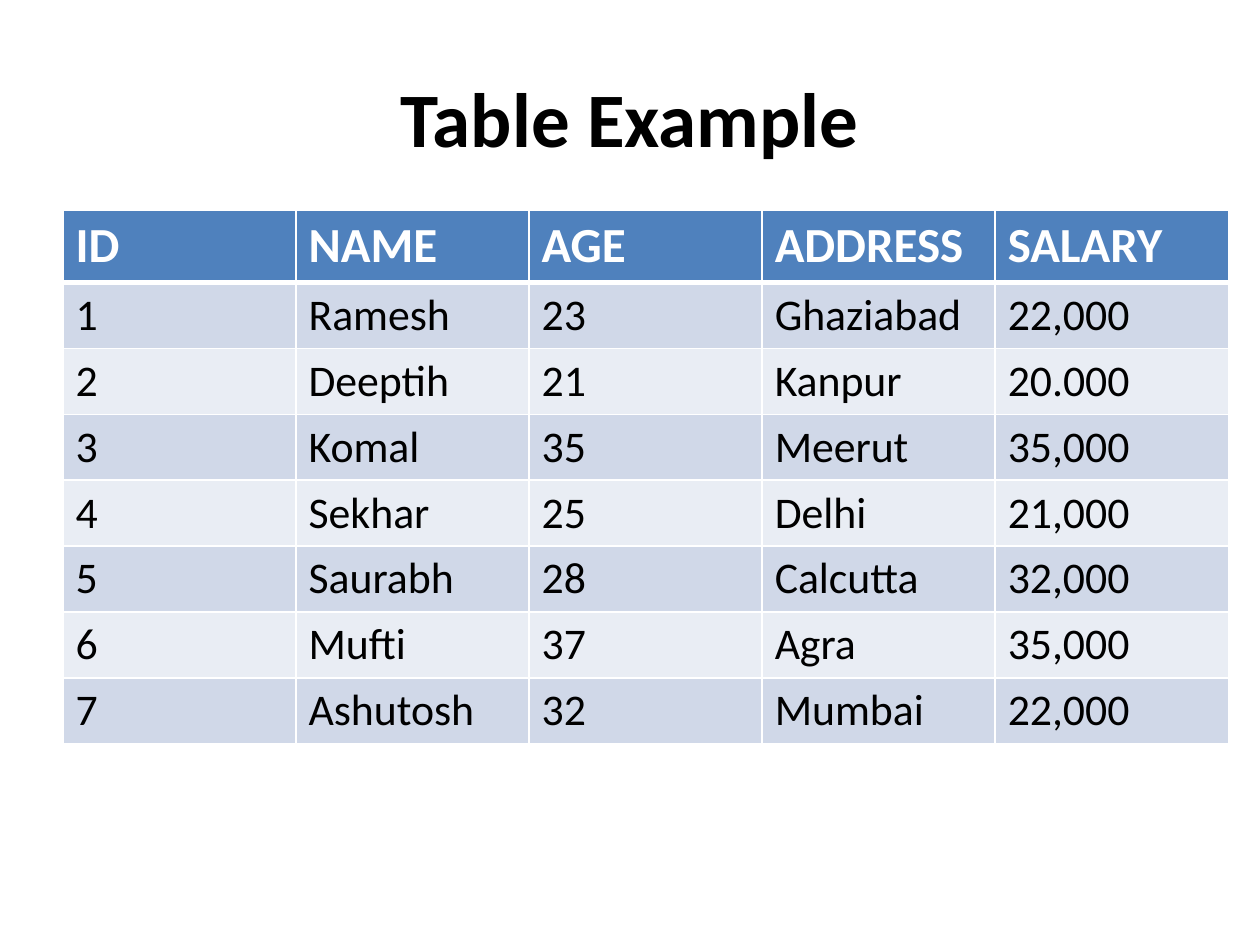
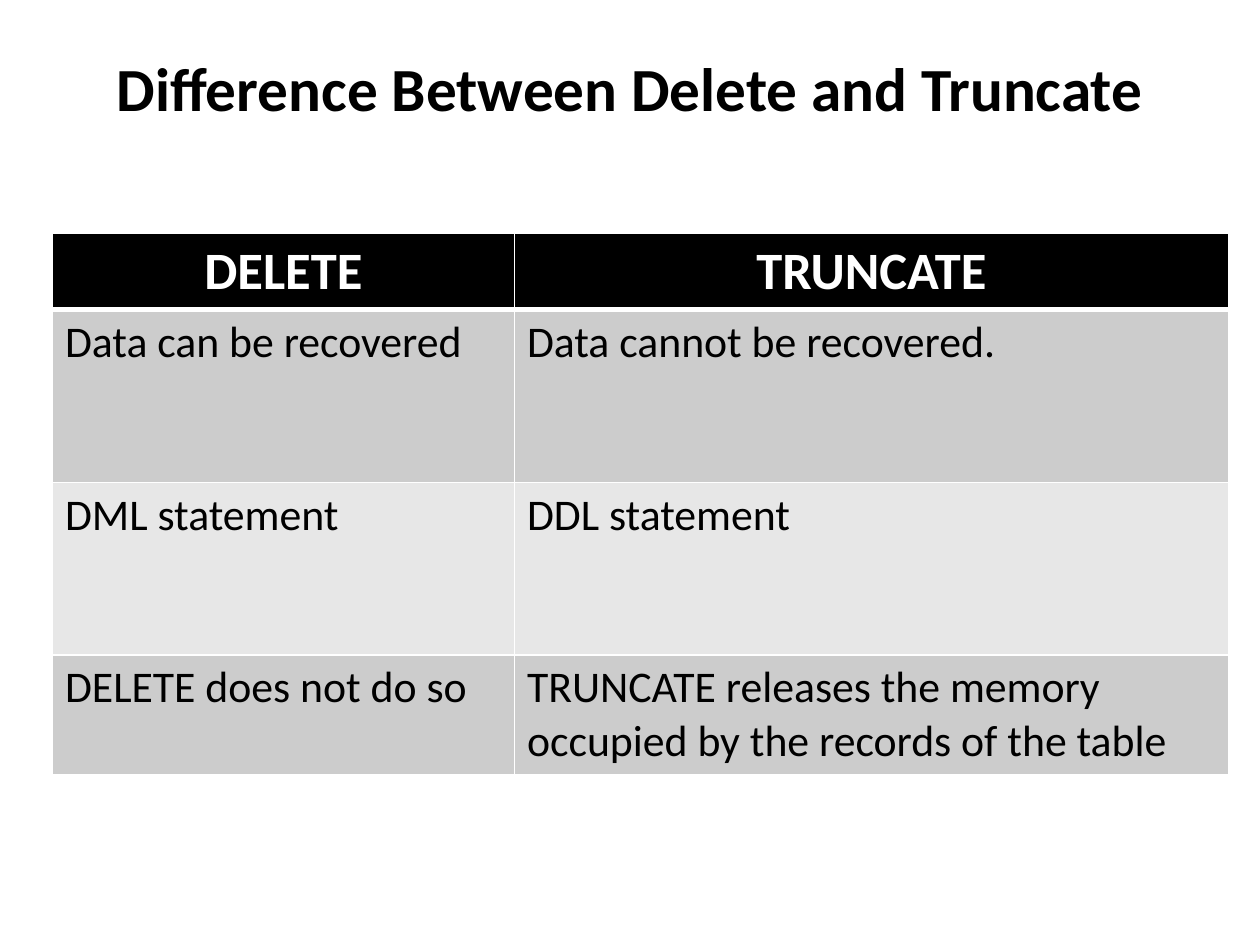
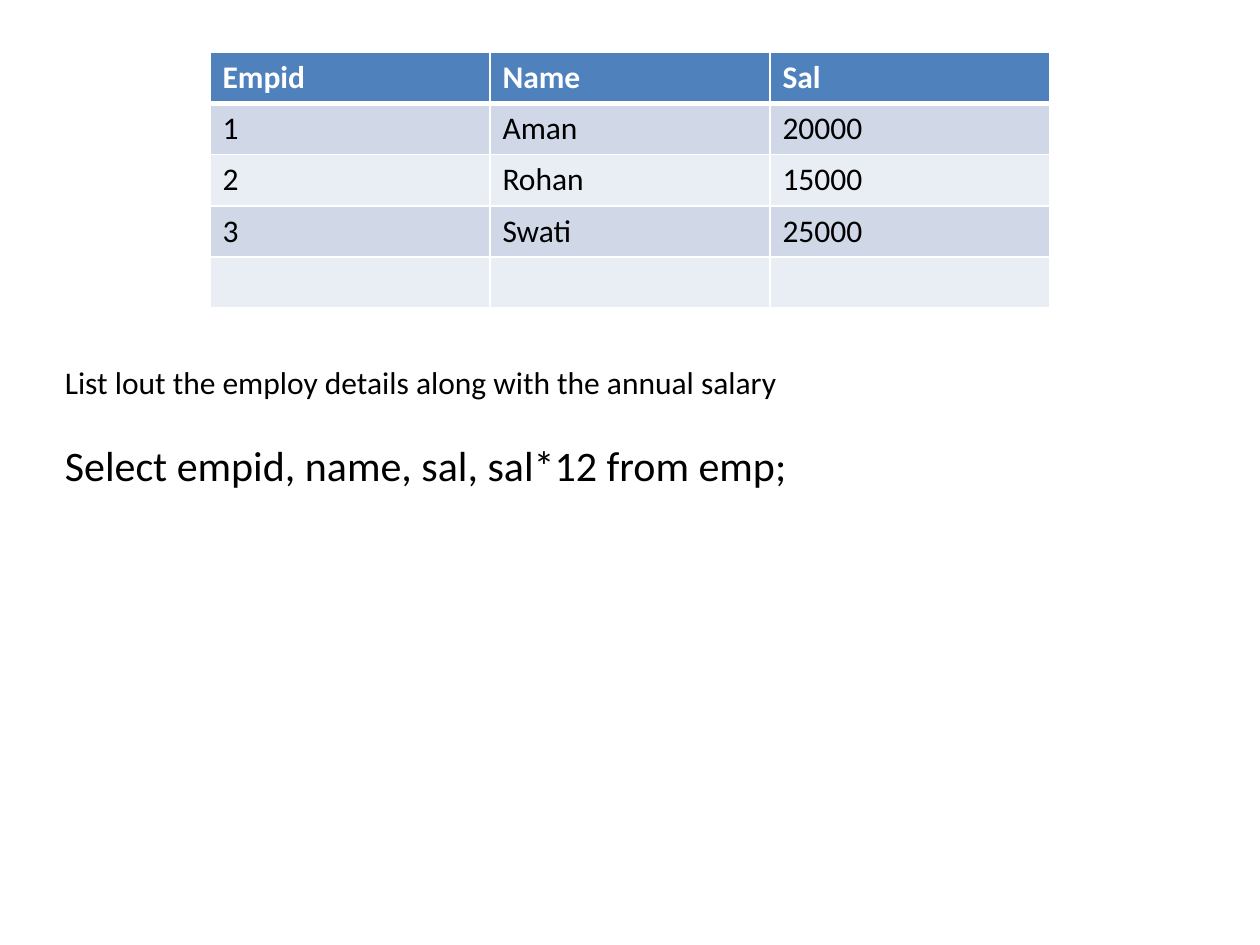
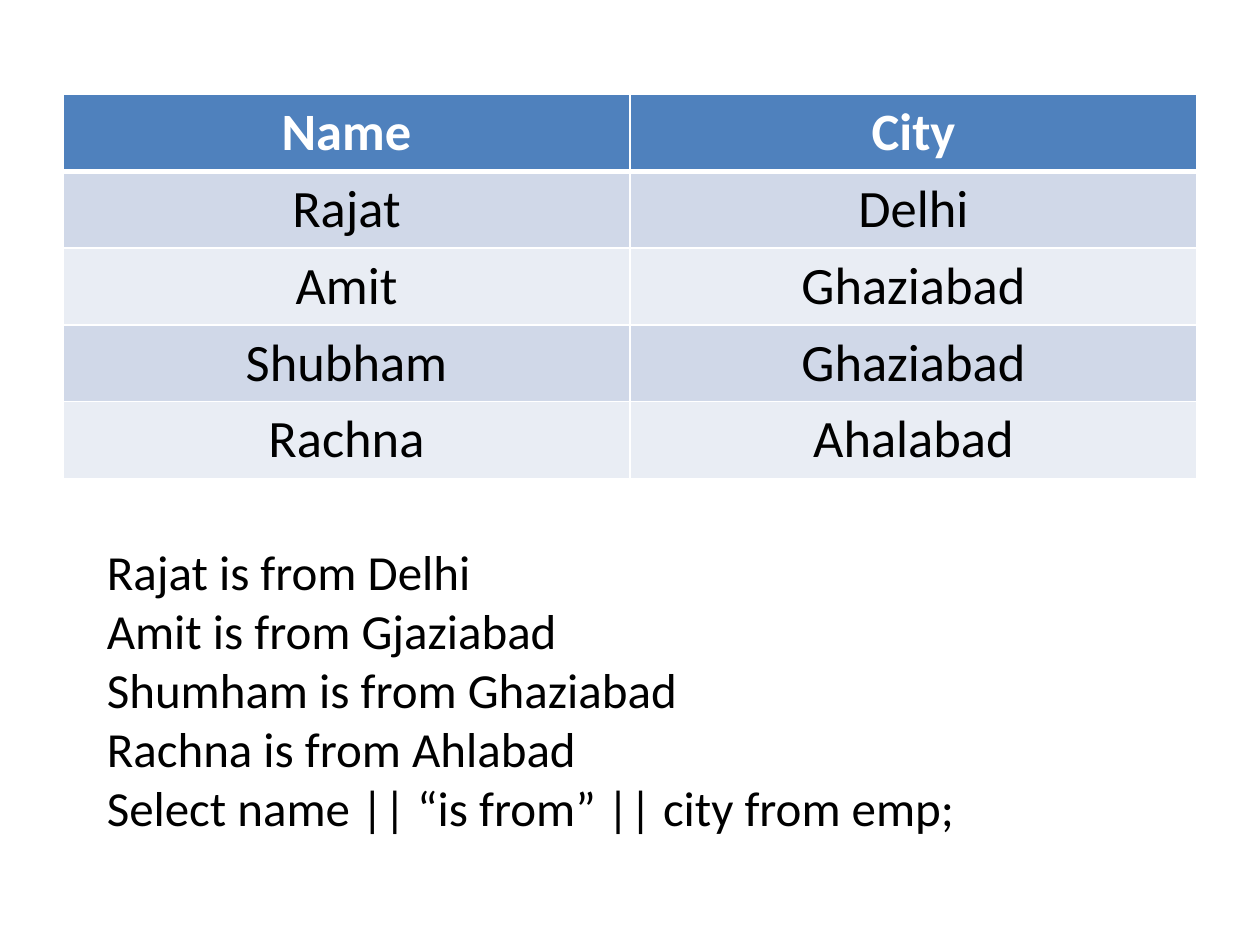
"""Build four slides of SQL tables and example queries."""
from dataclasses import dataclass
from typing import Optional

import pptx
import pptx.dml.color
import pptx.enum.text
import pptx.oxml.ns
import pptx.slide
import pptx.table
import pptx.text.text
import pptx.util
from lxml import etree

Pt = pptx.util.Pt
Align = pptx.enum.text.PP_ALIGN
Anchor = pptx.enum.text.MSO_ANCHOR

FONT = "Calibri"
COLORS = {
    "ink": "000000",
    "paper": "FFFFFF",
    "blue": "4F81BD",
    "blue_dark_band": "D0D8E8",
    "blue_light_band": "E9EDF4",
    "gray_dark_band": "CCCCCC",
    "gray_light_band": "E7E7E7",
}


@dataclass(frozen=True)
class Palette:
    header: str
    bands: tuple[str, str]


@dataclass(frozen=True)
class Box:
    left: float
    top: float
    width: float
    height: float


@dataclass(frozen=True)
class Line:
    text: str
    size: float
    space_before: float = 0
    bold: bool = False
    align: Align = Align.LEFT


@dataclass(frozen=True)
class TableSpec:
    left: float
    top: float
    widths: tuple[float, ...]
    heights: tuple[float, ...]
    rows: tuple[tuple[str, ...], ...]
    header_size: float
    body_size: float
    palette: Palette
    header_align: Align = Align.LEFT
    body_align: Align = Align.LEFT


@dataclass(frozen=True)
class SlideSpec:
    table: TableSpec
    title: Optional[Line] = None
    title_box: Optional[Box] = None
    lines: tuple[Line, ...] = ()
    lines_box: Optional[Box] = None


BLUE = Palette("blue", ("blue_dark_band", "blue_light_band"))
GRAY = Palette("ink", ("gray_dark_band", "gray_light_band"))

SLIDES = (
    SlideSpec(
        title=Line("Table Example", 44, bold=True, align=Align.CENTER),
        title_box=Box(36, 21.6, 648, 90),
        table=TableSpec(
            left=36, top=120, widths=(133.2,) * 5, heights=(41.4,) + (37.7,) * 7,
            rows=(
                ("ID", "NAME", "AGE", "ADDRESS", "SALARY"),
                ("1", "Ramesh", "23", "Ghaziabad", "22,000"),
                ("2", "Deeptih", "21", "Kanpur", "20.000"),
                ("3", "Komal", "35", "Meerut", "35,000"),
                ("4", "Sekhar", "25", "Delhi", "21,000"),
                ("5", "Saurabh", "28", "Calcutta", "32,000"),
                ("6", "Mufti", "37", "Agra", "35,000"),
                ("7", "Ashutosh", "32", "Mumbai", "22,000"),
            ),
            header_size=28, body_size=25, palette=BLUE,
        ),
    ),
    SlideSpec(
        title=Line("Difference Between Delete and Truncate", 35, bold=True, align=Align.CENTER),
        title_box=Box(36, 21.6, 648, 56),
        table=TableSpec(
            left=30, top=133.2, widths=(264, 408), heights=(43.8, 98.7, 98.7, 68.2),
            rows=(
                ("DELETE", "TRUNCATE"),
                ("Data can be recovered", "Data cannot be recovered."),
                ("DML statement", "DDL statement"),
                ("DELETE does not do so",
                 "TRUNCATE releases the memory occupied by the records of the table"),
            ),
            header_size=30, body_size=25, palette=GRAY, header_align=Align.CENTER,
        ),
    ),
    SlideSpec(
        table=TableSpec(
            left=120, top=30, widths=(160,) * 3, heights=(29.2,) * 5,
            rows=(
                ("Empid", "Name", "Sal"),
                ("1", "Aman", "20000"),
                ("2", "Rohan", "15000"),
                ("3", "Swati", "25000"),
                ("", "", ""),
            ),
            header_size=18, body_size=18, palette=BLUE,
        ),
        lines=(
            Line("List lout the employ details along with the annual salary", 18),
            Line("Select empid, name, sal, sal*12 from emp;", 24, space_before=22),
        ),
        lines_box=Box(30, 204, 654, 80),
    ),
    SlideSpec(
        table=TableSpec(
            left=36, top=54, widths=(324,) * 2, heights=(43.9,) * 5,
            rows=(
                ("Name", "City"),
                ("Rajat", "Delhi"),
                ("Amit", "Ghaziabad"),
                ("Shubham", "Ghaziabad"),
                ("Rachna", "Ahalabad"),
            ),
            header_size=30, body_size=30, palette=BLUE,
            header_align=Align.CENTER, body_align=Align.CENTER,
        ),
        lines=tuple(Line(text, 28) for text in (
            "Rajat is from Delhi",
            "Amit is from Gjaziabad",
            "Shumham is from Ghaziabad",
            "Rachna is from Ahlabad",
            "Select name || “is from” || city from emp;",
        )),
        lines_box=Box(54, 306, 612, 234),
    ),
)


def rgb(name: str) -> pptx.dml.color.RGBColor:
    return pptx.dml.color.RGBColor.from_string(COLORS[name])


def write_text(
    paragraph: pptx.text.text._Paragraph, text: str, *, size: float,
    color: str = "ink", bold: bool = False, align: Align = Align.LEFT,
    space_before: float = 0,
) -> None:
    paragraph.alignment = align
    if space_before:
        paragraph.space_before = Pt(space_before)
    if not text:
        return
    run = paragraph.add_run()
    run.text = text
    run.font.name = FONT
    run.font.size = Pt(size)
    run.font.bold = bold
    run.font.color.rgb = rgb(color)


def add_lines(
    slide: pptx.slide.Slide, box: Box, lines: tuple[Line, ...], anchor: Anchor = Anchor.TOP,
) -> None:
    shape = slide.shapes.add_textbox(Pt(box.left), Pt(box.top), Pt(box.width), Pt(box.height))
    frame = shape.text_frame
    frame.word_wrap = True
    frame.vertical_anchor = anchor
    for index, line in enumerate(lines):
        paragraph = frame.add_paragraph() if index else frame.paragraphs[0]
        write_text(paragraph, line.text, size=line.size, bold=line.bold,
                   align=line.align, space_before=line.space_before)


def set_borders(cell: pptx.table._Cell, widths: dict[str, float]) -> None:
    qn = pptx.oxml.ns.qn
    properties = cell._tc.get_or_add_tcPr()
    for side, width in widths.items():
        line = etree.SubElement(properties, qn(f"a:ln{side}"), w=str(Pt(width)))
        fill = etree.SubElement(line, qn("a:solidFill"))
        etree.SubElement(fill, qn("a:srgbClr"), val=COLORS["paper"])


def add_table(slide: pptx.slide.Slide, spec: TableSpec) -> None:
    table = slide.shapes.add_table(
        len(spec.rows), len(spec.widths), Pt(spec.left), Pt(spec.top),
        Pt(sum(spec.widths)), Pt(sum(spec.heights)),
    ).table
    for column, width in zip(table.columns, spec.widths):
        column.width = Pt(width)
    for row_index, (texts, height) in enumerate(zip(spec.rows, spec.heights)):
        table.rows[row_index].height = Pt(height)
        header = row_index == 0
        fill = spec.palette.header if header else spec.palette.bands[(row_index - 1) % 2]
        borders = {"L": 1, "R": 1, "T": 3 if row_index == 1 else 1, "B": 3 if header else 1}
        for column_index, text in enumerate(texts):
            cell = table.cell(row_index, column_index)
            set_borders(cell, borders)
            cell.fill.solid()
            cell.fill.fore_color.rgb = rgb(fill)
            write_text(
                cell.text_frame.paragraphs[0], text, bold=header,
                size=spec.header_size if header else spec.body_size,
                color="paper" if header else "ink",
                align=spec.header_align if header else spec.body_align,
            )


def main() -> None:
    presentation = pptx.Presentation()
    presentation.slide_width = Pt(720)
    presentation.slide_height = Pt(540)
    for spec in SLIDES:
        slide = presentation.slides.add_slide(presentation.slide_layouts[6])
        if spec.title:
            add_lines(slide, spec.title_box, (spec.title,), Anchor.MIDDLE)
        add_table(slide, spec.table)
        if spec.lines:
            add_lines(slide, spec.lines_box, spec.lines)
    presentation.save("out.pptx")


if __name__ == "__main__":
    main()
